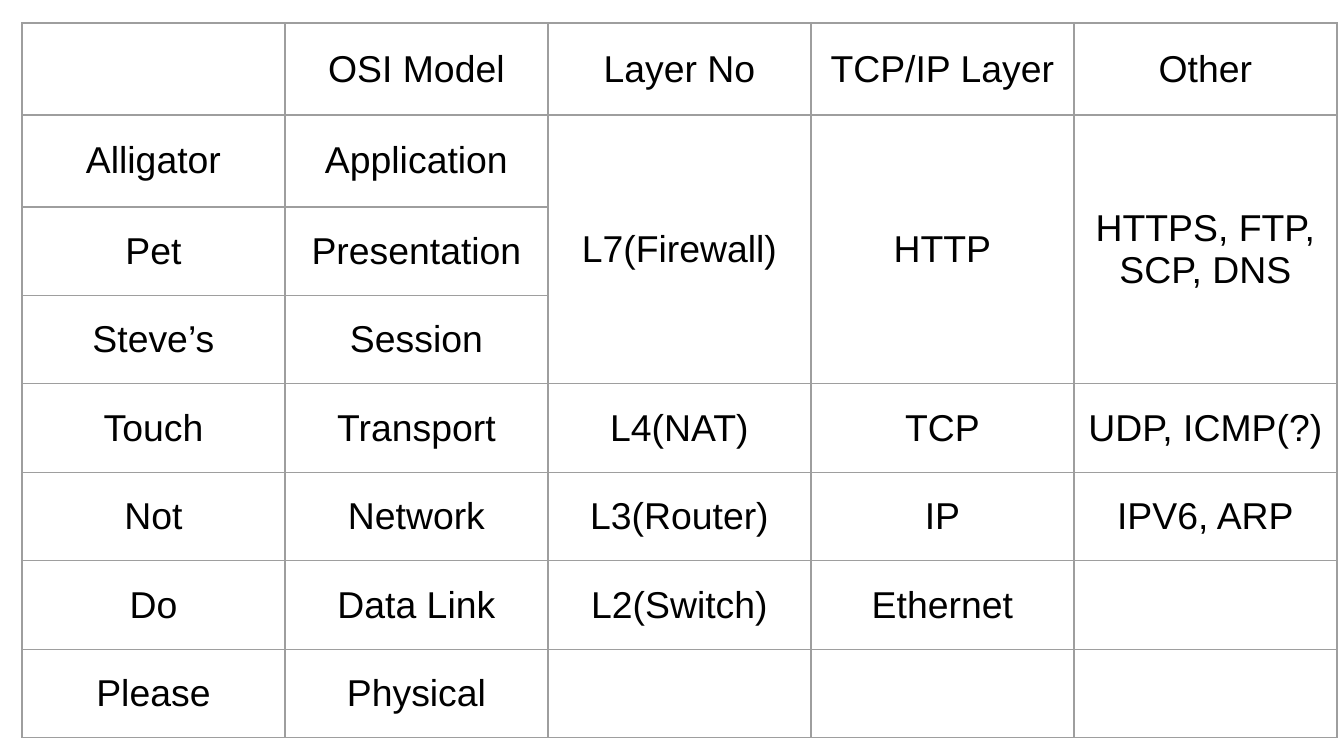
import lxml.etree
import pptx
import pptx.util
import pptx.dml.color
import pptx.enum.text
import pptx.oxml.ns

PX = 914400 / 134.4
INK = "000000"
GRID = "9E9E9E"
PAD = 13
WIDE = 263
HIGH = [92, 92] + [89, 88] * 3
ROWS = [
    ["", "OSI Model", "Layer No", "TCP/IP Layer", "Other"],
    ["Alligator", "Application", "L7(Firewall)", "HTTP", "HTTPS, FTP, SCP, DNS"],
    ["Pet", "Presentation", "", "", ""],
    ["Steve’s", "Session", "", "", ""],
    ["Touch", "Transport", "L4(NAT)", "TCP", "UDP, ICMP(?)"],
    ["Not", "Network", "L3(Router)", "IP", "IPV6, ARP"],
    ["Do", "Data Link", "L2(Switch)", "Ethernet", ""],
    ["Please", "Physical", "", "", ""],
]


def px(num):
    return pptx.util.Emu(round(num * PX))


def color(code):
    return pptx.dml.color.RGBColor.from_string(code)


def add_lines(cell):
    qn = pptx.oxml.ns.qn
    props = cell._tc.get_or_add_tcPr()
    for side in ("lnL", "lnR", "lnT", "lnB"):
        line = lxml.etree.SubElement(props, qn("a:" + side), w=str(pptx.util.Pt(0.75)))
        fill = lxml.etree.SubElement(line, qn("a:solidFill"))
        lxml.etree.SubElement(fill, qn("a:srgbClr"), val=GRID)


def set_cell(cell, text):
    add_lines(cell)
    cell.fill.background()
    cell.vertical_anchor = pptx.enum.text.MSO_ANCHOR.MIDDLE
    cell.margin_left = cell.margin_right = px(PAD)
    cell.margin_top = cell.margin_bottom = px(PAD)
    cell.text_frame.text = text
    para = cell.text_frame.paragraphs[0]
    para.alignment = pptx.enum.text.PP_ALIGN.CENTER
    para.font.size = pptx.util.Pt(20)
    for run in para.runs:
        run.font.name = "Arial"
        run.font.size = pptx.util.Pt(20)
        run.font.color.rgb = color(INK)


def add_grid(slide, left, top, width, height):
    count = len(ROWS[0])
    frame = slide.shapes.add_table(
        len(ROWS), count, px(left), px(top), px(width), px(height)
    )
    table = frame.table
    table.first_row = table.horz_banding = False
    for col in table.columns:
        col.width = px(width / count)
    for row, tall in zip(table.rows, HIGH):
        row.height = px(tall)
    for r, row in enumerate(ROWS):
        for c, text in enumerate(row):
            set_cell(table.cell(r, c), text)
    for c in range(2, count):
        table.cell(1, c).merge(table.cell(3, c))


def main():
    deck = pptx.Presentation()
    deck.slide_width = px(1344)
    deck.slide_height = px(756)
    slide = deck.slides.add_slide(deck.slide_layouts[6])
    add_grid(slide, 22, 23, WIDE * len(ROWS[0]), sum(HIGH))
    deck.save("out.pptx")


if __name__ == "__main__":
    main()
